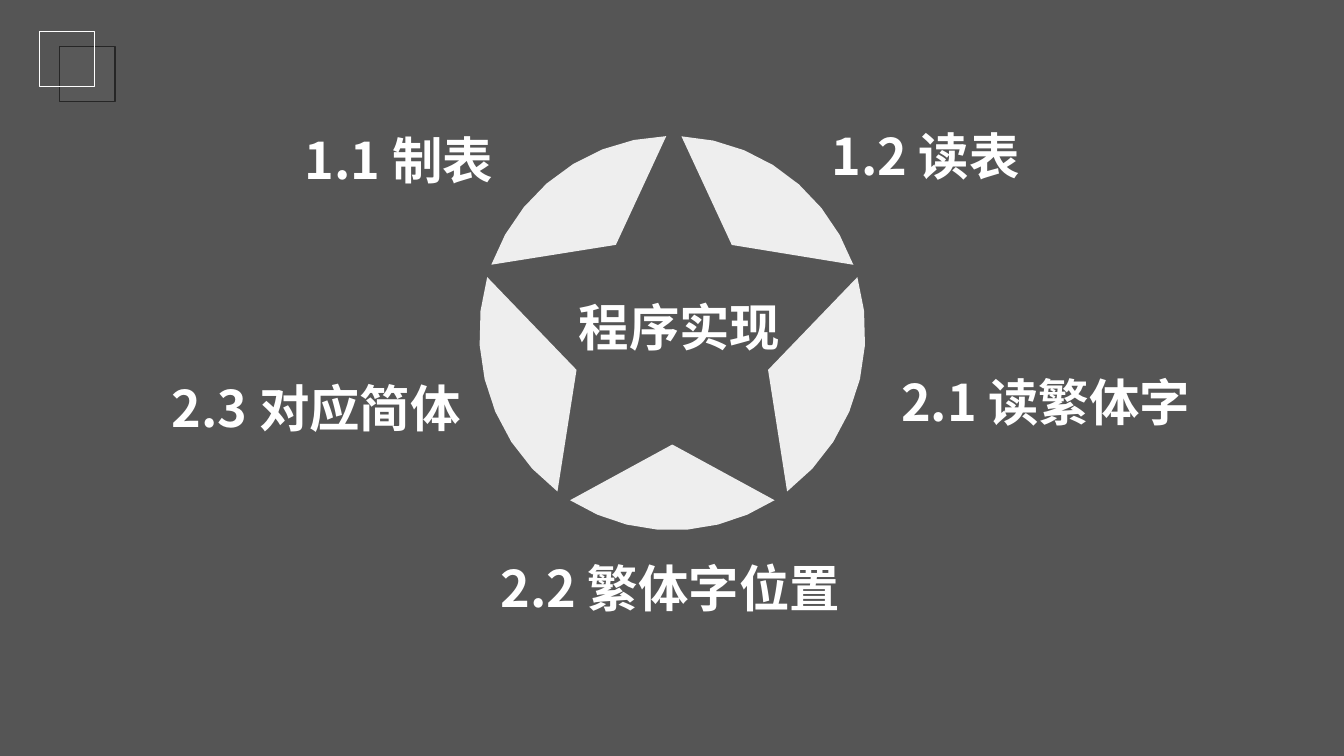
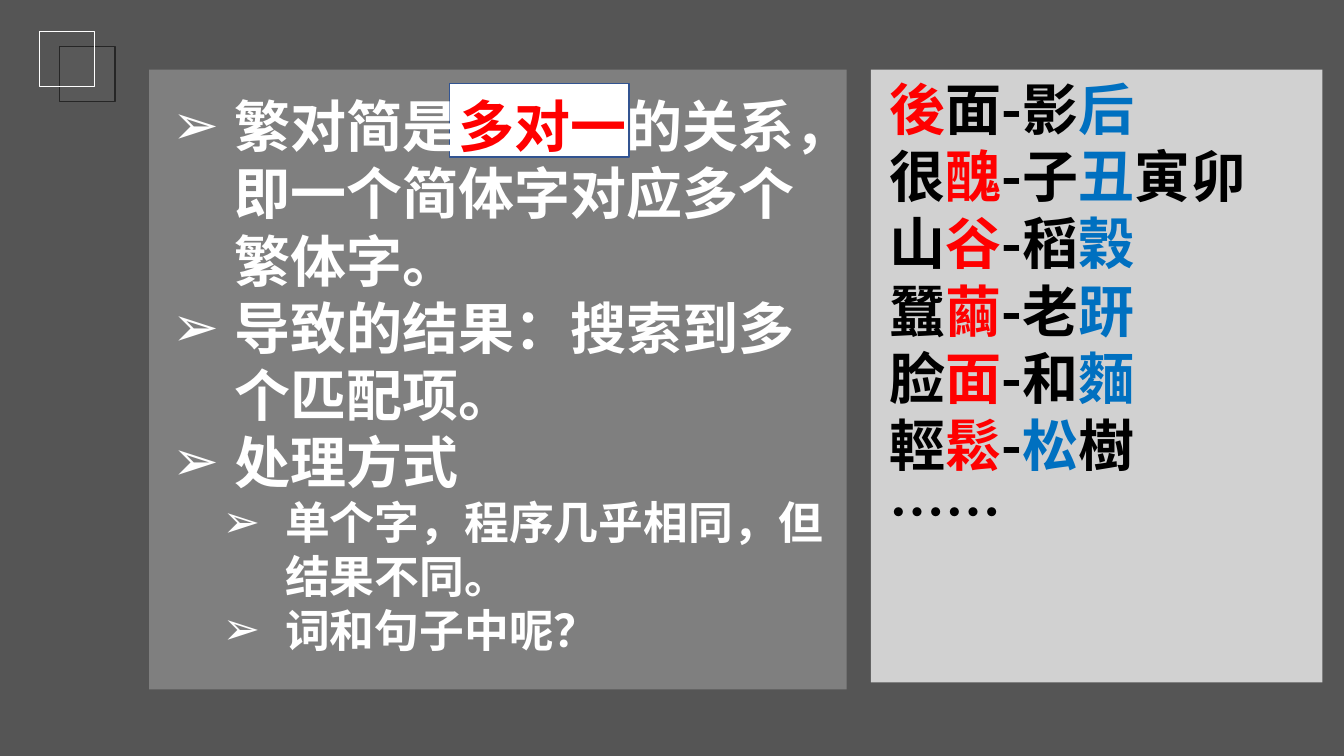
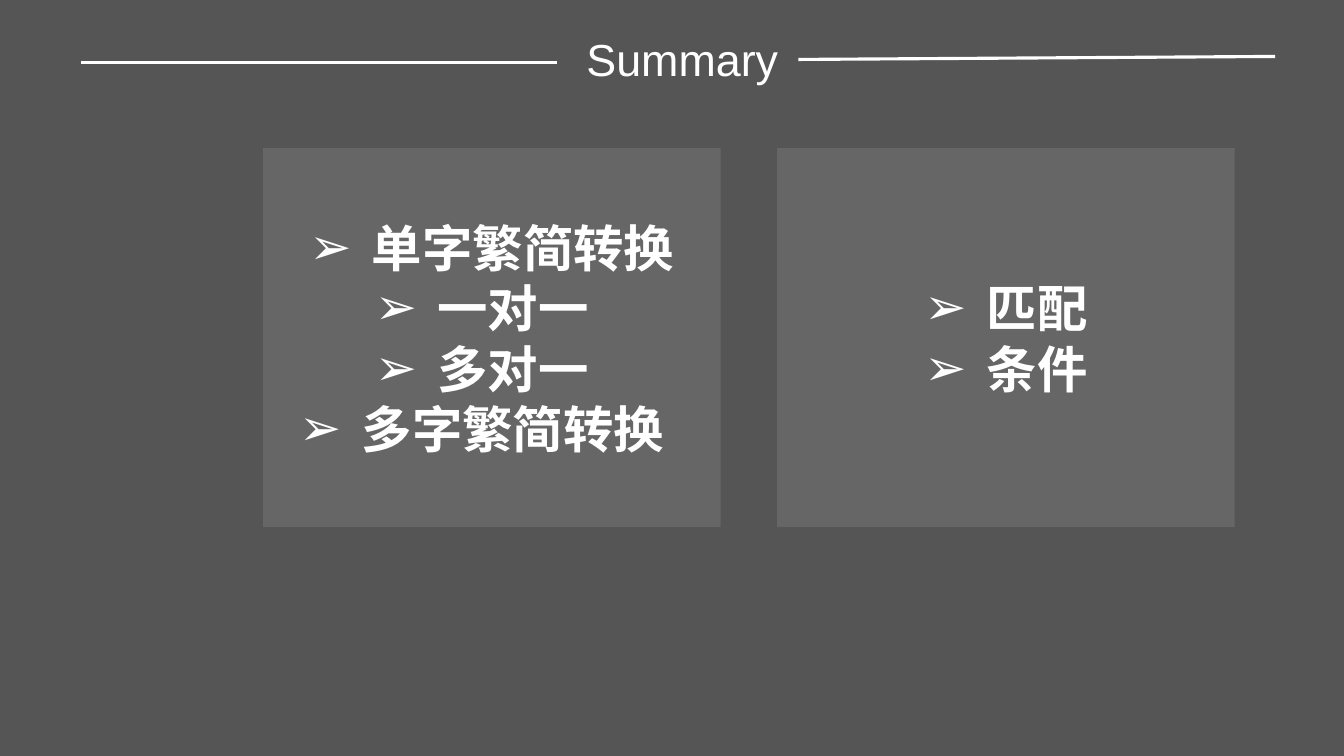
from math import cos, radians, sin

from lxml.etree import SubElement
from pptx import Presentation
from pptx.dml.color import RGBColor
from pptx.enum.shapes import MSO_CONNECTOR, MSO_SHAPE
from pptx.enum.text import MSO_ANCHOR, MSO_AUTO_SIZE, PP_ALIGN
from pptx.oxml.ns import qn
from pptx.util import Pt

PX = 9144  # 100 px to the inch
SLIDE_SIZE = (1333.33, 750)
TITLE_ONLY, BLANK = 5, 6
SANS, LATIN = "Noto Sans CJK SC", "Arial"

WHITE = RGBColor(0xFF, 0xFF, 0xFF)
BLACK = RGBColor(0x00, 0x00, 0x00)
VEIL = RGBColor(0x0D, 0x0D, 0x0D)
SQUARE_FILL = RGBColor(0x59, 0x59, 0x59)
SQUARE_LINE = RGBColor(0x26, 0x26, 0x26)
FRAME_BLUE = RGBColor(0x32, 0x54, 0x91)
RED = RGBColor(0xFF, 0x00, 0x00)
BLUE = RGBColor(0x00, 0x70, 0xC0)

INDENT = 62
NO_MARGINS = (0, 0, 0, 0)
MARGINS = (10, 5, 10, 5)


def px(*lengths):
    return [round(length * PX) for length in lengths]


def style_shape(shape, fill=None, opacity=100, line=None):
    shape.shadow.inherit = False
    if fill is None:
        shape.fill.background()
    else:
        shape.fill.solid()
        shape.fill.fore_color.rgb = fill
        if opacity < 100:
            colour = next(shape._element.spPr.iter(qn("a:srgbClr")))
            SubElement(colour, qn("a:alpha"), val=str(opacity * 1000))
    if line is None:
        shape.line.fill.background()
    else:
        shape.line.color.rgb = line
        shape.line.width = Pt(1)


def add_box(slide, box, **style):
    shape = slide.shapes.add_shape(MSO_SHAPE.RECTANGLE, *px(*box))
    style_shape(shape, **style)
    return shape


def add_bullet(paragraph, left):
    properties = paragraph._p.get_or_add_pPr()
    properties.set("marL", str(left * PX))
    properties.set("indent", str(-INDENT * PX))
    SubElement(properties, qn("a:buFont"), typeface=LATIN)
    SubElement(properties, qn("a:buChar"), char="➢")


def write_paragraph(paragraph, text, size=36, font=SANS, bold=True, color=WHITE,
                    align=PP_ALIGN.LEFT, level=0, bullet=None):
    """text is a string, or a list of (string, colour) pairs."""
    paragraph.alignment = align
    paragraph.level = level
    if bullet is not None:
        add_bullet(paragraph, bullet)
    for words, run_color in [(text, color)] if isinstance(text, str) else text:
        run = paragraph.add_run()
        run.text = words
        run.font.name, run.font.size, run.font.bold = font, Pt(size), bold
        run.font.color.rgb = run_color
        SubElement(run._r.get_or_add_rPr(), qn("a:ea"), typeface=SANS)


def write_frame(frame, paragraphs, anchor=MSO_ANCHOR.MIDDLE, margins=NO_MARGINS,
                wrap=True, **text_format):
    """paragraphs holds (text, own format) pairs."""
    frame.word_wrap = wrap
    frame.auto_size = MSO_AUTO_SIZE.NONE
    frame.vertical_anchor = anchor
    (frame.margin_left, frame.margin_top,
     frame.margin_right, frame.margin_bottom) = px(*margins)
    for index, (text, own_format) in enumerate(paragraphs):
        paragraph = frame.add_paragraph() if index else frame.paragraphs[0]
        write_paragraph(paragraph, text, **{**text_format, **own_format})


def add_text(slide, box, paragraphs, **text_format):
    text_box = slide.shapes.add_textbox(*px(*box))
    write_frame(text_box.text_frame, paragraphs, **text_format)


def add_rule(slide, *ends):
    rule = slide.shapes.add_connector(MSO_CONNECTOR.STRAIGHT, *px(*ends))
    rule.line.color.rgb = WHITE
    rule.line.width = Pt(2.25)
    SubElement(rule._element.spPr, qn("a:effectLst"))


def add_corner_squares(slide):
    add_box(slide, (59, 46, 55, 55), fill=SQUARE_FILL, line=SQUARE_LINE)
    add_box(slide, (39, 31, 55, 55), line=WHITE)


def add_segment(slide, notch, start, end, steps=7):
    """Part of the disc between two angles, cut in to the notch."""
    angles = [radians(start + (end - start) * i / steps) for i in range(steps + 1)]
    arc = [px(667 + 191.5 * cos(a), 330.5 + 195.5 * sin(a)) for a in angles]
    builder = slide.shapes.build_freeform(*px(*notch), scale=1.0)
    builder.add_line_segments(arc, close=True)
    style_shape(builder.convert_to_shape(), fill=WHITE, opacity=90)


def darken_master(presentation, slide):
    """Lay a dark veil over the white master, behind every slide."""
    veil = add_box(slide, (0, 0, *SLIDE_SIZE), fill=VEIL, opacity=70)
    presentation.slide_master.shapes._spTree.insert(2, veil._element)


def build_star(presentation):
    slide = presentation.slides.add_slide(presentation.slide_layouts[BLANK])
    darken_master(presentation, slide)
    add_corner_squares(slide)
    add_text(slide, (555, 281, 238, 78), [("程序实现", {})], wrap=False,
             anchor=MSO_ANCHOR.BOTTOM, align=PP_ALIGN.CENTER, margins=MARGINS)
    for notch, start, end in [
        ((762, 367), -16.5, 53.5),
        ((726, 243), -87.3, -20.3),
        ((667, 441), 58, 122),
        ((611, 243), -159.7, -91.8),
        ((572, 367), 126.5, 196.5),
    ]:
        add_segment(slide, notch, start, end)
    for text, box, align in [
        ("1.1 制表", (271, 121, 218, 75), PP_ALIGN.RIGHT),
        ("2.3 对应简体", (78, 356, 379, 97), PP_ALIGN.RIGHT),
        ("1.2 读表", (825, 121, 279, 66), PP_ALIGN.LEFT),
        ("2.1 读繁体字", (894, 356, 347, 84), PP_ALIGN.LEFT),
        ("2.2 繁体字位置", (476, 541, 378, 83), PP_ALIGN.CENTER),
    ]:
        add_text(slide, box, [(text, {})], align=align)


def build_many_to_one(presentation):
    slide = presentation.slides.add_slide(presentation.slide_layouts[BLANK])
    add_corner_squares(slide)
    body = dict(size=40, anchor=MSO_ANCHOR.TOP, margins=MARGINS)

    # Word pairs
    add_box(slide, (864, 69, 448, 608), fill=WHITE, opacity=73)
    pairs = [
        [("後", RED), ("面-影", BLACK), ("后", BLUE)],
        [("很", BLACK), ("醜", RED), ("-子", BLACK), ("丑", BLUE), ("寅卯", BLACK)],
        [("山", BLACK), ("谷", RED), ("-稻", BLACK), ("穀", BLUE)],
        [("蠶", BLACK), ("繭", RED), ("-老", BLACK), ("趼", BLUE)],
        [("脸", BLACK), ("面", RED), ("-和", BLACK), ("麵", BLUE)],
        [("輕", BLACK), ("鬆", RED), ("-", BLACK), ("松", BLUE), ("樹", BLACK)],
        [("……", BLACK)],
    ]
    add_text(slide, (873, 69, 456, 481), [(pair, {}) for pair in pairs], **body)

    # Explanation with a highlighted phrase
    add_box(slide, (148, 69, 692, 615), fill=WHITE, opacity=25)
    add_box(slide, (446, 83, 178, 73), fill=WHITE, line=FRAME_BLUE)
    main_point = dict(bullet=INDENT)
    sub_point = dict(bullet=INDENT + 50, level=1, size=32)
    add_text(slide, (161, 86, 666, 591), [
        ([("繁对简是", WHITE), ("多对一", RED),
          ("的关系，即一个简体字对应多个繁体字。", WHITE)], main_point),
        ("导致的结果：搜索到多个匹配项。", main_point),
        ("处理方式", main_point),
        ("单个字，程序几乎相同，但结果不同。", sub_point),
        ("词和句子中呢？", sub_point),
    ], **body)


def build_summary(presentation):
    slide = presentation.slides.add_slide(presentation.slide_layouts[TITLE_ONLY])
    title = slide.shapes.title
    title.left, title.top, title.width, title.height = px(517, 31, 320, 54)
    write_frame(title.text_frame, [("Summary", {})], size=32, font=LATIN,
                bold=False, align=PP_ALIGN.CENTER)
    add_rule(slide, 80, 62, 553, 62)
    add_rule(slide, 792, 59, 1265, 56)

    hanging = dict(bullet=INDENT)
    flush = dict(bullet=0)
    flush_sub = dict(bullet=0, level=1)
    for left, points in [
        (261, [("单字繁简转换", hanging), ("一对一", flush_sub),
               ("多对一", flush_sub), ("多字繁简转换", flush)]),
        (771, [("匹配", hanging), ("条件", hanging)]),
    ]:
        panel = add_box(slide, (left, 147, 454, 376), fill=WHITE, opacity=10)
        write_frame(panel.text_frame, points, font=LATIN,
                    align=PP_ALIGN.CENTER, margins=MARGINS)


def main():
    presentation = Presentation()
    presentation.slide_width, presentation.slide_height = px(*SLIDE_SIZE)
    build_star(presentation)
    build_many_to_one(presentation)
    build_summary(presentation)
    presentation.save("out.pptx")


if __name__ == "__main__":
    main()
